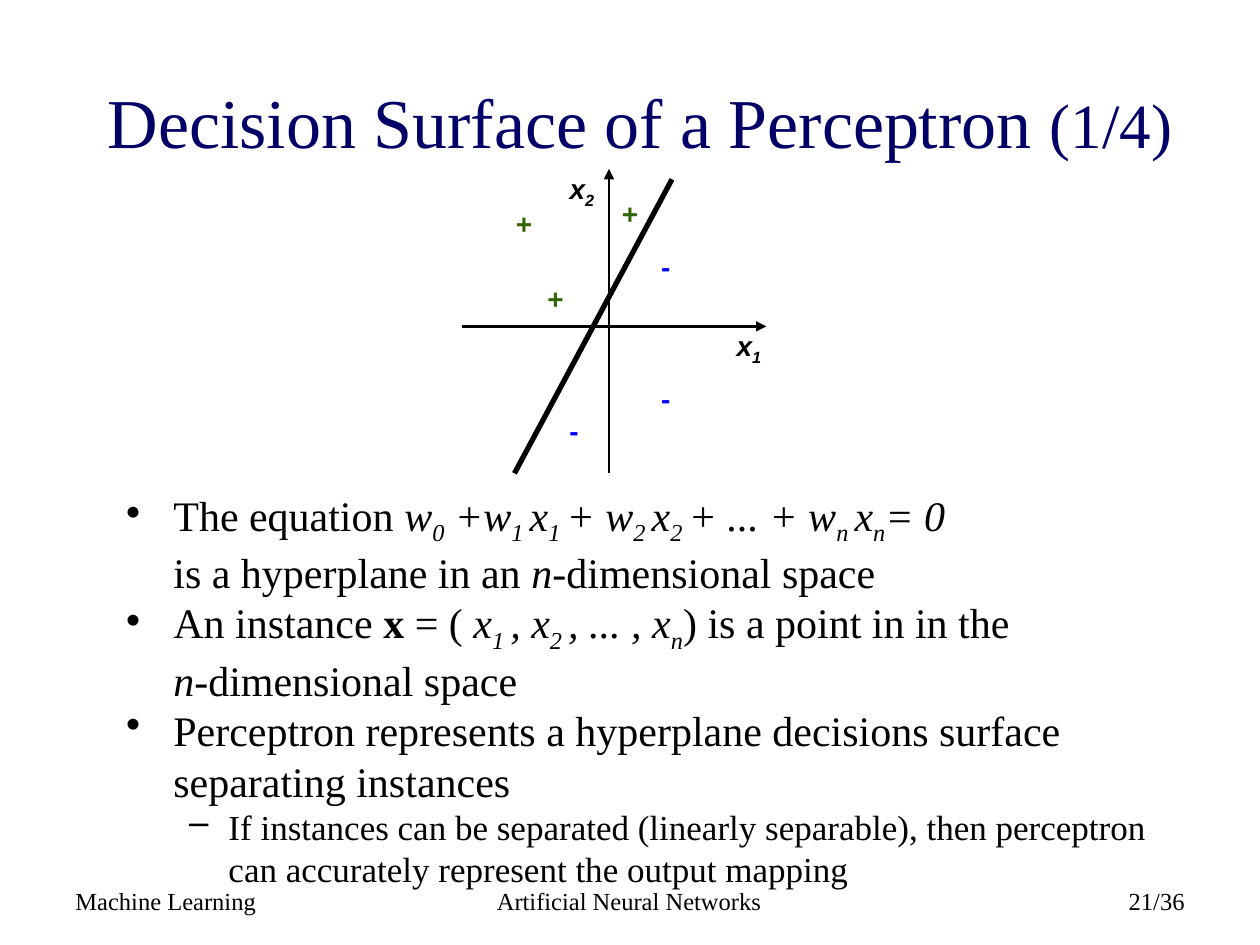
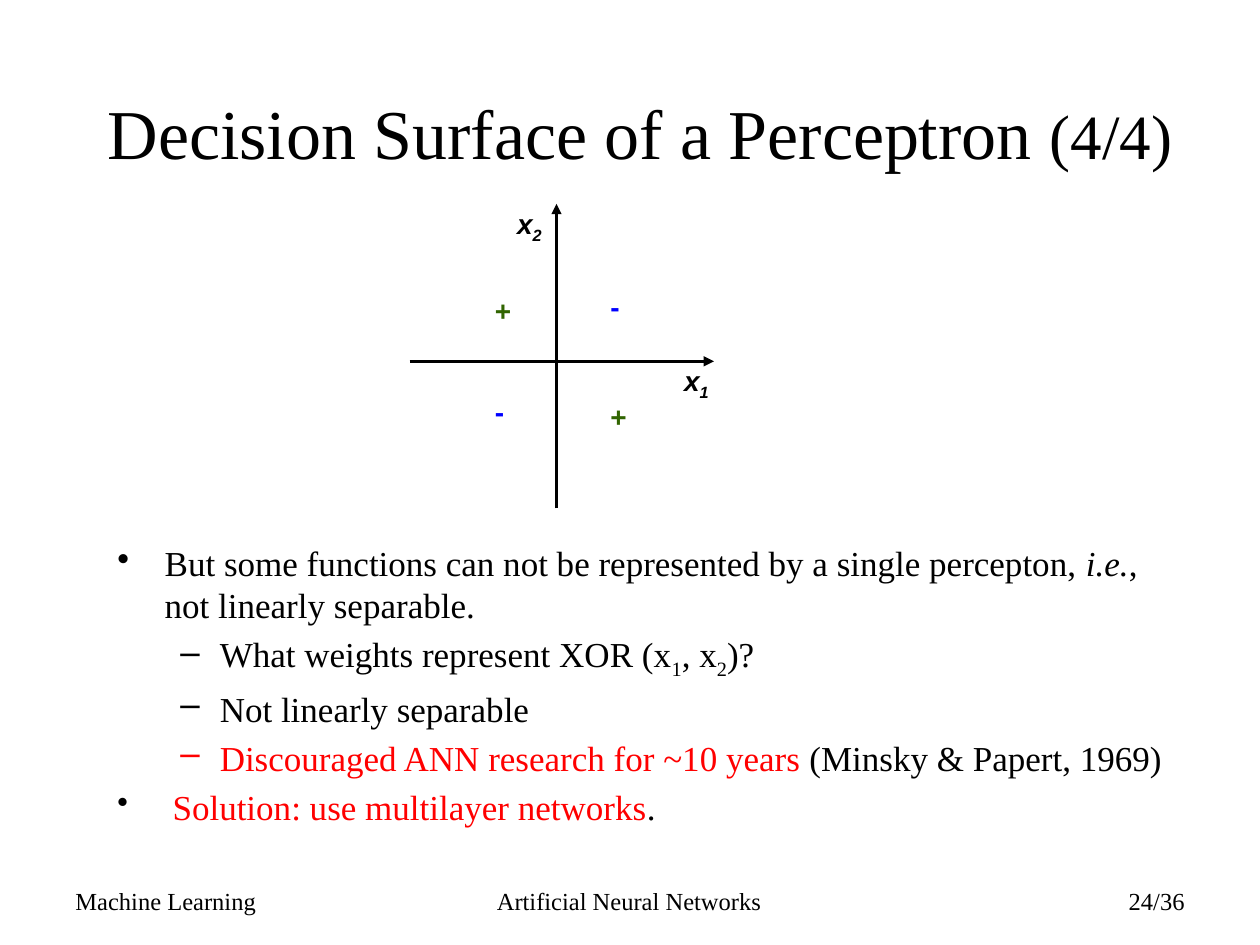
from lxml import etree
from pptx import Presentation
from pptx.dml.color import RGBColor
from pptx.enum import shapes, text
from pptx.oxml import ns
from pptx.util import Pt

SERIF, SANS = "Times New Roman", "Arial"
BLACK, NAVY, GREEN, BLUE, RED = "000000", "000066", "316501", "0000FF", "FF0000"
LEFT, CENTER, RIGHT = text.PP_ALIGN.LEFT, text.PP_ALIGN.CENTER, text.PP_ALIGN.RIGHT


def write(paragraph, runs, size, colour=BLACK, face=SERIF, align=LEFT):
    """Runs are (text, marks, size); marks: i italic, b bold, _ subscript, r red, / break after."""
    paragraph.alignment = align
    paragraph.font.name = face
    paragraph.font.size = Pt(size)
    paragraph.font.color.rgb = RGBColor.from_string(colour)
    for words, marks, *own_size in runs:
        run = paragraph.add_run()
        run.text = words
        if "i" in marks:
            run.font.italic = True
        if "b" in marks:
            run.font.bold = True
        if "_" in marks:
            run.font._element.set("baseline", "-25000")
        if "r" in marks:
            run.font.color.rgb = RGBColor.from_string(RED)
        if own_size:
            run.font.size = Pt(own_size[0])
        if "/" in marks:
            paragraph.add_line_break()


def add_box(slide, left, top, width, height, wrap=True, anchor=text.MSO_ANCHOR.TOP):
    box = slide.shapes.add_textbox(Pt(left), Pt(top), Pt(width), Pt(height))
    box.text_frame.word_wrap = wrap
    box.text_frame.vertical_anchor = anchor
    return box.text_frame


# Content: diagram positions are offsets from the origin of the axes
BULLETS = [("•", 27, -27), ("–", 58.5, -22.5)]
pages = [
    {
        "part": "(1/4)", "number": "21/36", "title_top": 24, "title_colour": NAVY,
        "origin": (348, 186.5),
        "boundary": [(-54, 84, 36, -84)],
        "plus": [(12, -64.5), (-30.5, -16), (-48.5, -58.5)],
        "minus": [(32.5, -34), (32.5, 41.5), (-20, 59.5)],
        "body": (65, 276, 612, 228), "space_before": 0,
        "points": [
            (0, 24, [("The equation ", ""), ("w", "i"), ("0", "i_"), (" +w", "i"), ("1 ", "i_"),
                     ("x", "i"), ("1 ", "i_"), ("+ w", "i"), ("2 ", "i_"), ("x", "i"),
                     ("2 ", "i_"), ("+ ... + w", "i"), ("n ", "i_"), ("x", "i"), ("n", "i_"),
                     ("= 0", "i/"), ("is a hyperplane in an ", ""), ("n", "i"),
                     ("-dimensional space", "")]),
            (0, 24, [("An instance ", ""), ("x", "b"), (" = ( ", ""), ("x", "i"), ("1 ", "i_"),
                     (", x", "i"), ("2 ", "i_"), (", ... , x", "i"), ("n", "i_"),
                     (") is a point in in the ", "/"), ("n", "i"), ("-dimensional space", "")]),
            (0, 24, [("Perceptron represents a hyperplane decisions surface "
                      "separating instances", "")]),
            (1, 20, [("If instances can be separated (linearly separable), then perceptron "
                      "can accurately represent the output mapping", "")]),
        ],
    },
    {
        "part": "(4/4)", "number": "24/36", "title_top": 30, "title_colour": BLACK,
        "origin": (318, 206.5),
        "boundary": [],
        "plus": [(-30.5, -29), (35.5, 31.5)],
        "minus": [(33.5, -31.5), (-32.5, 28.5)],
        "body": (60, 306, 612, 180), "space_before": 4,
        "points": [
            (0, 20, [("But some functions can not be represented by a single percepton, ", ""),
                     ("i.e.", "i"), (", not linearly separable.", "")]),
            (1, 20, [("What weights represent XOR (x", ""), ("1", "_"), (", x", ""),
                     ("2", "_"), (")?", "")]),
            (1, 20, [("Not linearly separable", "")]),
            (1, 20, [("Discouraged ANN research for ~10 years ", "r"),
                     ("(Minsky & Papert, 1969)", "")]),
            (0, 20, [(" ", "", 18), ("Solution: use multilayer networks", "r"), (".", "")]),
        ],
    },
]

deck = Presentation()
deck.slide_width, deck.slide_height = Pt(720), Pt(540)

for page in pages:
    slide = deck.slides.add_slide(deck.slide_layouts[5])

    # Title
    title = slide.shapes.title
    title.left, title.top = Pt(54), Pt(page["title_top"])
    title.width, title.height = Pt(623.5), Pt(90)
    title.text_frame.auto_size = text.MSO_AUTO_SIZE.NONE
    title.text_frame.vertical_anchor = text.MSO_ANCHOR.MIDDLE
    write(title.text_frame.paragraphs[0],
          [("Decision Surface of a Perceptron ", ""), (page["part"], "", 36)],
          40, page["title_colour"], align=CENTER)

    # Bulleted points
    points = add_box(slide, *page["body"])
    for index, (level, size, runs) in enumerate(page["points"]):
        point = points.add_paragraph() if index else points.paragraphs[0]
        write(point, runs, size)
        point.level = level
        point.space_before = Pt(page["space_before"])
        sign, margin, indent = BULLETS[level]
        properties = point._p.get_or_add_pPr()
        properties.set("marL", str(Pt(margin)))
        properties.set("indent", str(Pt(indent)))
        bullet = etree.Element(ns.qn("a:buChar"), char=sign)
        properties.find(ns.qn("a:defRPr")).addprevious(bullet)

    # Footer
    for words, left, width, align in [("Machine Learning", 36, 168, LEFT),
                                      ("Artificial Neural Networks", 245.5, 228, CENTER),
                                      (page["number"], 516, 168, RIGHT)]:
        footer = add_box(slide, left, 500.5, width, 28.5, anchor=text.MSO_ANCHOR.MIDDLE)
        write(footer.paragraphs[0], [(words, "")], 14, align=align)

    # Axes with arrowheads, and the decision boundary
    x0, y0 = page["origin"]
    axes = [(0, 84, 0, -90), (-84, 0, 90, 0)]
    for ends in axes + page["boundary"]:
        x1, y1, x2, y2 = ends
        line = slide.shapes.add_connector(shapes.MSO_CONNECTOR.STRAIGHT, Pt(x0 + x1),
                                          Pt(y0 + y1), Pt(x0 + x2), Pt(y0 + y2))
        line.line.color.rgb = RGBColor.from_string(BLACK)
        line.line.width = Pt(1.5 if ends in axes else 3)
        if ends in axes:
            etree.SubElement(line.line._get_or_add_ln(), ns.qn("a:tailEnd"), type="triangle")
        etree.SubElement(line._element.spPr, ns.qn("a:effectLst"))

    # Axis names and instances, each centred on its place
    marks = [(80, 11, [("x", "bi"), ("1", "bi_")], BLACK),
             (-15.5, -79, [("x", "bi"), ("2", "bi_")], BLACK)]
    marks += [(x, y, [("+", "b")], GREEN) for x, y in page["plus"]]
    marks += [(x, y, [("-", "b")], BLUE) for x, y in page["minus"]]
    for x, y, runs, colour in marks:
        mark = add_box(slide, x0 + x - 15, y0 + y - 13.25, 30, 26.5, wrap=False)
        write(mark.paragraphs[0], runs, 16, colour, SANS, CENTER)

deck.save("out.pptx")
